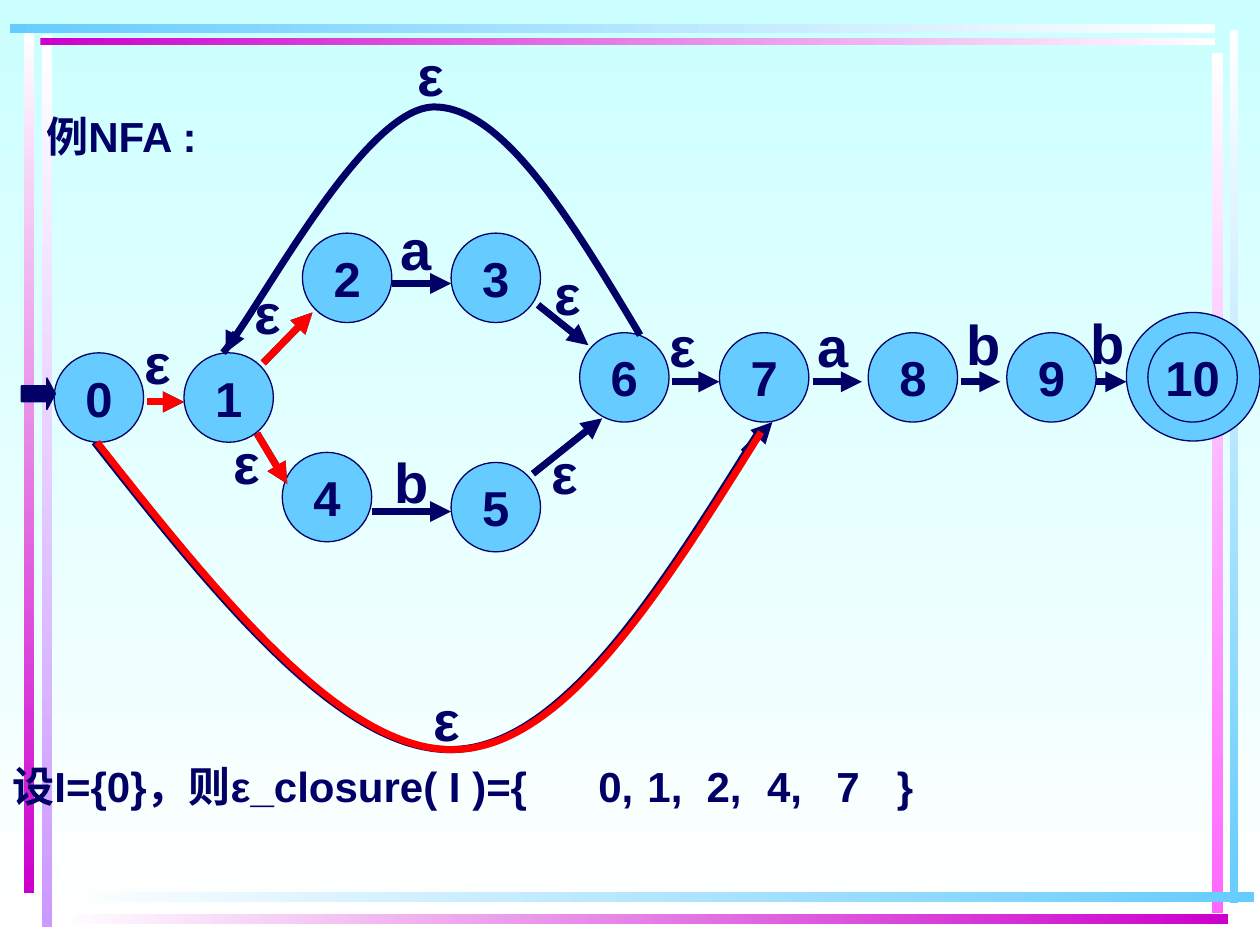
import pptx
import pptx.util
import pptx.dml.color
import pptx.enum.shapes
import pptx.enum.text
import pptx.oxml

Inches = pptx.util.Inches
Pt = pptx.util.Pt
RGBColor = pptx.dml.color.RGBColor
Shape = pptx.enum.shapes.MSO_SHAPE
Align = pptx.enum.text.PP_ALIGN
NS = 'xmlns:a="http://schemas.openxmlformats.org/drawingml/2006/main"'

NAVY = RGBColor(0x00, 0x00, 0x66)
SKY = RGBColor(0x66, 0xCC, 0xFF)
RED = RGBColor(0xFF, 0x00, 0x00)
WHITE = RGBColor(0xFF, 0xFF, 0xFF)
AQUA = RGBColor(0xCC, 0xFF, 0xFF)
LILAC = RGBColor(0xCC, 0x99, 0xFF)
PLUM = RGBColor(0xCC, 0x00, 0xCC)
PINK = RGBColor(0xFF, 0x66, 0xFF)


class Board:
    font = "Arial"
    ink = NAVY
    thick = Pt(4)
    thin = Pt(0.75)
    size = 0.71

    def __init__(self, slide):
        self.slide = slide
        self.shapes = slide.shapes

    def blend(self, fill, first, last, angle):
        fill.gradient()
        fill.gradient_angle = angle
        for stop, color in zip(fill.gradient_stops, (first, last)):
            stop.color.rgb = color

    def bar(self, box, first, last, angle):
        bar = self.shapes.add_shape(Shape.RECTANGLE, *map(Inches, box))
        bar.shadow.inherit = False
        bar.line.fill.background()
        self.blend(bar.fill, first, last, angle)

    def solid(self, kind, box, color):
        shape = self.shapes.add_shape(kind, *map(Inches, box))
        shape.shadow.inherit = False
        shape.fill.solid()
        shape.fill.fore_color.rgb = color
        shape.line.color.rgb = self.ink
        shape.line.width = self.thin
        return shape

    def words(self, frame, text, points, align):
        para = frame.paragraphs[0]
        para.alignment = align
        run = para.add_run()
        run.text = text
        run.font.name = self.font
        run.font.size = Pt(points)
        run.font.bold = True
        run.font.color.rgb = self.ink
        return para

    def node(self, name, left, top):
        box = (left, top, self.size, self.size)
        frame = self.solid(Shape.OVAL, box, SKY).text_frame
        frame.word_wrap = False
        frame.vertical_anchor = pptx.enum.text.MSO_ANCHOR.MIDDLE
        self.words(frame, name, 28, Align.CENTER)

    def text(self, text, box, points=24, align=Align.LEFT, space=None):
        frame = self.shapes.add_textbox(*map(Inches, box)).text_frame
        frame.word_wrap = True
        frame.auto_size = pptx.enum.text.MSO_AUTO_SIZE.SHAPE_TO_FIT_TEXT
        para = self.words(frame, text, points, align)
        if space:
            para.line_spacing = space

    def label(self, text, left, top):
        width = {"ε": 0.55, "a": 0.39, "b": 0.47}[text]
        self.text(text, (left, top, width, 0.64), 32, Align.CENTER)

    def arrow(self, ends, color):
        kind = pptx.enum.shapes.MSO_CONNECTOR.STRAIGHT
        line = self.shapes.add_connector(kind, *map(Inches, ends))
        line.line.color.rgb = color
        line.line.width = self.thick
        props = line._element.spPr
        head = pptx.oxml.parse_xml(f'<a:tailEnd {NS} type="triangle"/>')
        props.find("{*}ln").append(head)
        props.append(pptx.oxml.parse_xml(f"<a:effectLst {NS}/>"))

    def curve(self, points, color):
        spots = [(Inches(x), Inches(y)) for x, y in points]
        pen = self.shapes.build_freeform(*spots[0])
        pen.add_line_segments(spots[1:], close=False)
        shape = pen.convert_to_shape()
        shape.shadow.inherit = False
        shape.fill.background()
        shape.line.color.rgb = color
        shape.line.width = self.thick
        steps = shape._element.xpath(".//a:lnTo")
        for i in range(0, len(steps), 3):
            bend = pptx.oxml.parse_xml(f"<a:cubicBezTo {NS}/>")
            steps[i].addprevious(bend)
            for step in steps[i:i + 3]:
                bend.append(step[0])
                step.getparent().remove(step)


def main():
    deck = pptx.Presentation()
    deck.slide_width = Inches(10)
    deck.slide_height = Inches(7.5)
    board = Board(deck.slides.add_slide(deck.slide_layouts[6]))
    board.blend(board.slide.background.fill, AQUA, WHITE, 270)

    for box, color in [
        ((0.33, 0.28, 0.08, 7.08), LILAC),
        ((0.19, 0.25, 0.08, 6.84), PLUM),
        ((9.76, 0.24, 0.07, 6.93), SKY),
        ((9.62, 0.42, 0.09, 6.83), PINK),
    ]:
        board.bar(box, WHITE, color, 270)
    for box, first, last in [
        ((0.45, 7.08, 9.5, 0.08), WHITE, SKY),
        ((0.45, 7.25, 9.3, 0.08), WHITE, PLUM),
        ((0.32, 0.3, 9.32, 0.06), PLUM, WHITE),
        ((0.08, 0.19, 9.56, 0.07), SKY, WHITE),
    ]:
        board.bar(box, first, last, 0)

    board.text("设I={0}，则ε_closure( I )={", (0, 6.03, 4.69, 0.46), space=0.9)
    board.text("例NFA :", (0.27, 0.83, 2.44, 0.5))

    skip = [(0.75, 3.51), (1.72, 4.74), (2.7, 5.96), (3.58, 5.95),
            (4.46, 5.94), (5.24, 4.68), (6.02, 3.43)]
    board.curve(skip, NAVY)
    board.arrow((5.9, 3.59, 6.13, 3.35), NAVY)

    board.solid(Shape.OVAL, (8.94, 2.48, 1.06, 1.02), SKY)
    for name, left, top in [
        ("0", 0.43, 2.8), ("1", 1.46, 2.8), ("2", 2.4, 1.85), ("3", 3.58, 1.85),
        ("4", 2.24, 3.59), ("5", 3.58, 3.67), ("6", 4.6, 2.64), ("7", 5.71, 2.64),
        ("8", 6.89, 2.64), ("9", 7.99, 2.64), ("10", 9.11, 2.64),
    ]:
        board.node(name, left, top)

    marked = [(1.17, 3.19, 1.46, 3.19), (2.09, 2.88, 2.48, 2.48),
              (2.04, 3.44, 2.28, 3.84)]
    plain = [(8.7, 3.03, 8.94, 3.03), (7.63, 3.03, 7.94, 3.03),
             (6.45, 3.03, 6.84, 3.03), (5.33, 3.03, 5.71, 3.03),
             (2.95, 4.06, 3.58, 4.06), (3.11, 2.25, 3.58, 2.25),
             (4.27, 2.42, 4.67, 2.74), (4.23, 3.76, 4.78, 3.32)]
    for ends in plain + marked:
        board.arrow(ends, NAVY)

    board.curve([(5.08, 2.66), (4.53, 1.74), (3.98, 0.83), (3.43, 0.85),
                 (2.87, 0.88), (2.05, 2.47), (1.77, 2.8)], NAVY)
    board.arrow((1.87, 2.64, 1.79, 2.8), NAVY)

    for text, left, top in [
        ("ε", 3.14, 0.27), ("a", 3.08, 1.65), ("b", 3.03, 3.5), ("a", 6.39, 2.42),
        ("b", 7.57, 2.41), ("b", 8.56, 2.4), ("ε", 0.98, 2.56), ("ε", 1.85, 2.16),
        ("ε", 1.68, 3.35), ("ε", 4.23, 2.01), ("ε", 4.21, 3.43), ("ε", 5.14, 2.42),
        ("ε", 3.27, 5.39),
    ]:
        board.label(text, left, top)

    start = board.solid(Shape.RIGHT_ARROW, (0.17, 3, 0.27, 0.25), NAVY)
    start.adjustments[0] = 0.5
    start.adjustments[1] = 0.27

    for text, left, width in [
        ("0,", 4.65, 0.51), ("1,", 5.04, 0.51), ("2,", 5.51, 0.6),
        ("4,", 5.99, 0.51), ("7", 6.54, 0.43), ("}", 7.02, 0.34),
    ]:
        board.text(text, (left, 6.03, width, 0.46), space=0.9)

    for ends in marked:
        board.arrow(ends, RED)
    board.curve([(x + 0.02, y) for x, y in skip], RED)
    deck.save("out.pptx")


if __name__ == "__main__":
    main()
